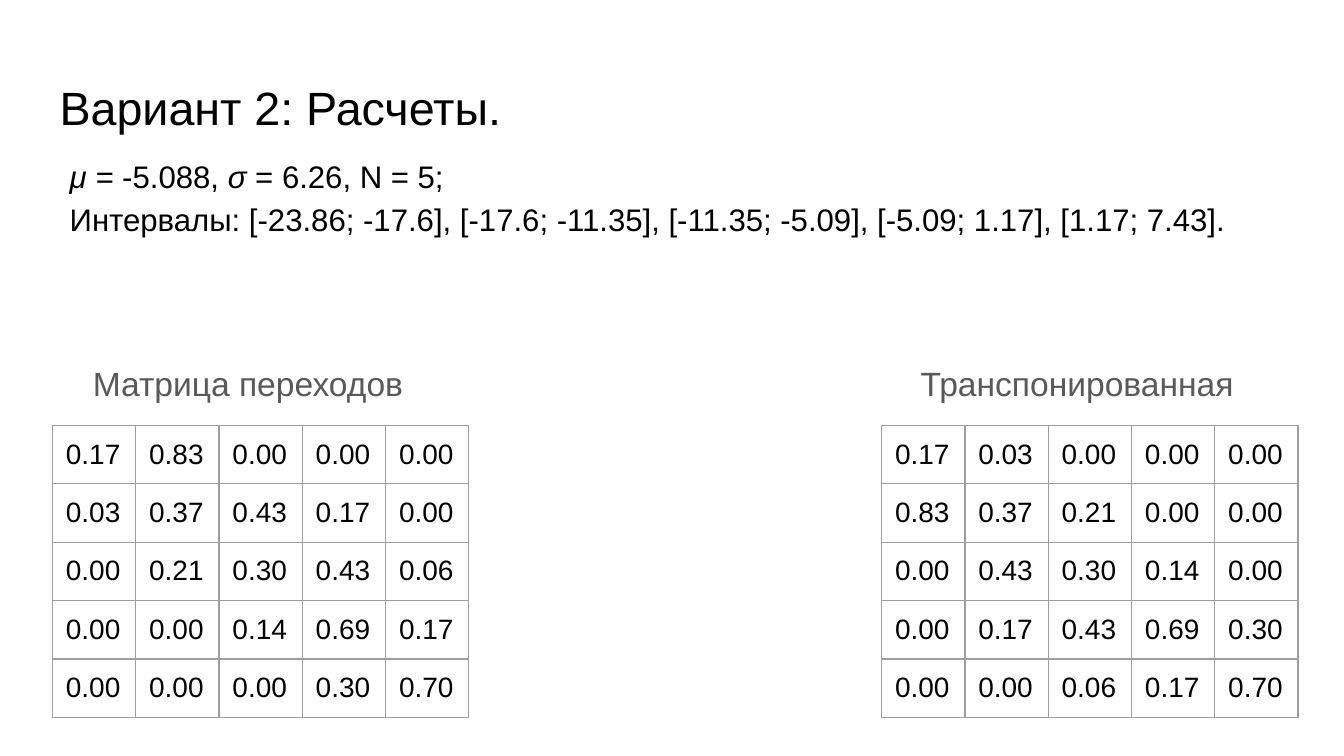
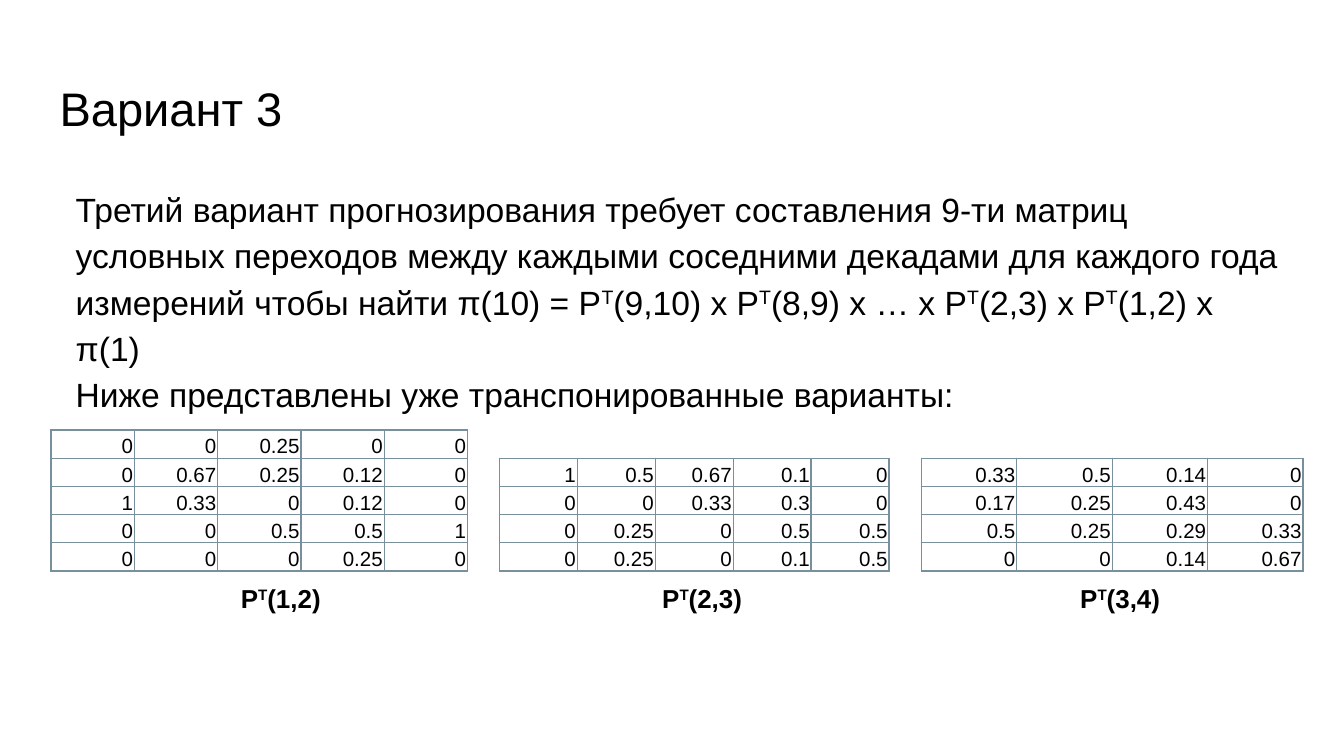
from lxml import etree
from pptx import Presentation, util as u
from pptx.dml.color import RGBColor
from pptx.enum import text
from pptx.oxml.ns import qn

PX = 4572
FONT = "Arial"
INK = {"black": "000000", "gray": "595959", "rule": "9E9E9E", "steel": "78909C"}
LEFT, MID, RIGHT = text.PP_ALIGN.LEFT, text.PP_ALIGN.CENTER, text.PP_ALIGN.RIGHT


def write(slide, box, lines, size, ink="black", align=LEFT, indent=0, space=1.0,
          bold=False, slant=False):
    frame = slide.shapes.add_textbox(*[n * PX for n in box]).text_frame
    frame.word_wrap = True
    frame.margin_left = frame.margin_right = 20 * PX
    frame.margin_top = frame.margin_bottom = 20 * PX
    frame.text = "\n".join([""] * len(lines))
    for para, line in zip(frame.paragraphs, lines):
        para.alignment = align
        para.line_spacing = space
        props = para._p.get_or_add_pPr()
        props.set("marL", str(indent * PX))
        props.set("indent", "0")
        for i, part in enumerate(line.split("|")):
            if not part:
                continue
            run = para.add_run()
            run.text = part
            run.font.name = FONT
            run.font.size = u.Pt(size)
            run.font.bold = bold
            run.font.color.rgb = RGBColor.from_string(INK[ink])
            if i % 2 and slant:
                run.font.italic = True
            elif i % 2:
                run._r.get_or_add_rPr().set("baseline", "30000")


def grid(slide, left, top, wide, high, rows, size, ink, align, pads, anchor):
    count = len(rows[0])
    frame = slide.shapes.add_table(len(rows), count, left * PX, top * PX,
                                   wide * count * PX, high * len(rows) * PX)
    table = frame.table
    table.first_row = table.horz_banding = False
    for col in table.columns:
        col.width = wide * PX
    for r, row in enumerate(rows):
        table.rows[r].height = high * PX
        for c, value in enumerate(row):
            cell = table.cell(r, c)
            cell.text = value
            cell.fill.background()
            cell.vertical_anchor = anchor
            cell.margin_left, cell.margin_top, cell.margin_right, cell.margin_bottom = [
                n * PX for n in pads]
            para = cell.text_frame.paragraphs[0]
            para.alignment = align
            font = para.runs[0].font
            font.name = FONT
            font.size = u.Pt(size)
            font.color.rgb = RGBColor.from_string(INK["black"])
            props = cell._tc.get_or_add_tcPr()
            for i, side in enumerate(["lnL", "lnR", "lnT", "lnB"]):
                line = etree.Element(qn("a:" + side), w=str(u.Pt(0.75)))
                fill = etree.SubElement(line, qn("a:solidFill"))
                etree.SubElement(fill, qn("a:srgbClr"), val=INK[ink])
                props.insert(i, line)


deck = Presentation()
deck.slide_width, deck.slide_height = 2000 * PX, 1125 * PX
pages = []
for title, size in [("Вариант 2: Расчеты.", 25), ("Вариант 3", 25.2)]:
    page = deck.slides.add_slide(deck.slide_layouts[6])
    write(page, (69, 98, 1864, 126), [title], size)
    pages.append(page)
calc, third = pages

write(calc, (60, 206, 1864, 182), [
    "|μ = |-5.088,| σ| = 6.26, N = 5;",
    "Интервалы: [-23.86; -17.6], [-17.6; -11.35], [-11.35; -5.09], [-5.09; 1.17], [1.17; 7.43].",
], 16.7, indent=24, space=1.15, slant=True)

moves = [line.split() for line in [
    "0.17 0.83 0.00 0.00 0.00",
    "0.03 0.37 0.43 0.17 0.00",
    "0.00 0.21 0.30 0.43 0.06",
    "0.00 0.00 0.14 0.69 0.17",
    "0.00 0.00 0.00 0.30 0.70",
]]
for left, name, rows in [
    (78, "Матрица переходов", moves),
    (1312, "Транспонированная", list(zip(*moves))),
]:
    grid(calc, left, 633, 124, 87, rows, 15, "rule", LEFT, (20, 20, 20, 16),
         text.MSO_ANCHOR.TOP)
    write(calc, (left, 520, 582, 86), [name], 18, "gray", MID)

write(third, (69, 252, 1864, 748), [
    "Третий вариант прогнозирования требует составления 9-ти матриц условных переходов "
    "между каждыми соседними декадами для каждого года измерений чтобы найти "
    "π(10) = P|T|(9,10) x P|T|(8,9) x … x P|T|(2,3) x P|T|(1,2) x π(1)",
    "Ниже представлены уже транспонированные варианты:",
], 18, indent=24, space=1.15)

BASE = 850
ROW = 42
for left, wide, start, span, name, body in [
    (76, 124, 116, 580, "(1,2)",
     "0 0 0.25 0 0/0 0.67 0.25 0.12 0/1 0.33 0 0.12 0/0 0 0.5 0.5 1/0 0 0 0.25 0"),
    (743, 116, 743, 580, "(2,3)",
     "1 0.5 0.67 0.1 0/0 0 0.33 0.3 0/0 0.25 0 0.5 0.5/0 0.25 0 0.1 0.5"),
    (1371, 142, 1371, 568, "(3,4)",
     "0.33 0.5 0.14 0/0.17 0.25 0.43 0/0.5 0.25 0.29 0.33/0 0 0.14 0.67"),
]:
    rows = [line.split() for line in body.split("/")]
    grid(third, left, BASE - ROW * len(rows), wide, ROW, rows, 11, "steel", RIGHT,
         (2, 2, 2, 0), text.MSO_ANCHOR.BOTTOM)
    write(third, (start, BASE, span, 86), ["P|T|" + name], 13.9, align=MID, indent=24,
          space=0.95, bold=True)

deck.save("out.pptx")
